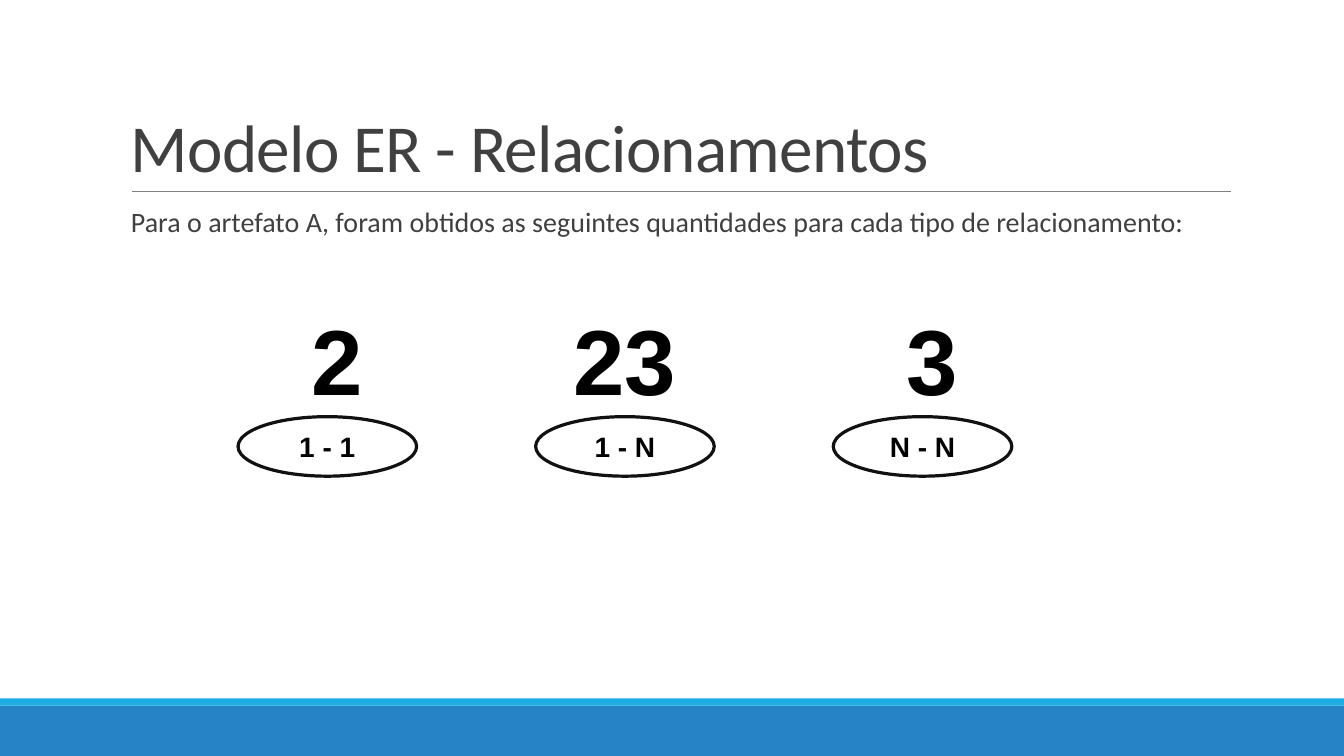
from typing import NamedTuple

from pptx import Presentation
from pptx import util as u
from pptx.dml.color import RGBColor
from pptx.enum import shapes, text
from pptx.oxml.ns import qn
from lxml import etree


class Relation(NamedTuple):
    label: str
    count: str
    count_left: float
    count_width: float


class Band(NamedTuple):
    top: float
    height: float
    color: str


RELATIONS = [
    Relation("1 - 1", "2", 7, 3),
    Relation("1 - N", "23", 13.5, 4.5),
    Relation("N - N", "3", 22, 3),
]
BANDS = [Band(17.78, 1.27, "2683C6"), Band(17.6, 0.18, "1CADE4")]
PAGE_WIDTH, PAGE_HEIGHT = 33.87, 19.05
OVAL_LEFT, OVAL_PITCH = 6, 7.5


def rgb(value: str) -> RGBColor:
    return RGBColor.from_string(value)


def write(shape, words: str, *, size: float, font: str = "Arial", color: str = "000000",
          bold: bool = False, align=text.PP_ALIGN.CENTER, anchor=text.MSO_ANCHOR.TOP,
          leading: float = 1, spacing: int = 0, inset: float = 0.25) -> None:
    frame = shape.text_frame
    frame.word_wrap = True
    frame.vertical_anchor = anchor
    frame.margin_left = frame.margin_right = u.Cm(inset)
    frame.margin_top = frame.margin_bottom = u.Cm(0.13)
    para = frame.paragraphs[0]
    para.alignment = align
    para.line_spacing = leading
    span = para.add_run()
    span.text = words
    span.font.name, span.font.size, span.font.bold = font, u.Pt(size), bold
    span.font.color.rgb = rgb(color)
    if spacing:
        span.font._element.set("spc", str(spacing))


def add_box(page, left: float, top: float, width: float, height: float):
    return page.shapes.add_textbox(u.Cm(left), u.Cm(top), u.Cm(width), u.Cm(height))


def add_solid(page, kind, left: float, top: float, width: float, height: float, fill: str):
    shape = page.shapes.add_shape(kind, u.Cm(left), u.Cm(top), u.Cm(width), u.Cm(height))
    shape.shadow.inherit = False
    shape.fill.solid()
    shape.fill.fore_color.rgb = rgb(fill)
    shape.line.fill.background()
    return shape


def add_rule(page, left: float, right: float, top: float) -> None:
    rule = page.shapes.add_connector(
        shapes.MSO_CONNECTOR.STRAIGHT, u.Cm(left), u.Cm(top), u.Cm(right), u.Cm(top))
    rule.line.color.rgb = rgb("808080")
    rule.line.width = u.Pt(0.5)
    etree.SubElement(rule._element.spPr, qn("a:effectLst"))


def add_relation(page, index: int, relation: Relation) -> None:
    count = add_box(page, relation.count_left, 7.5, relation.count_width, 2.85)
    write(count, relation.count, size=66, bold=True)
    oval = add_solid(page, shapes.MSO_SHAPE.OVAL, OVAL_LEFT + index * OVAL_PITCH, 10.5,
                     4.5, 1.5, "FFFFFF")
    oval.line.color.rgb = rgb("111111")
    oval.line.width = u.Pt(2.3)
    write(oval, relation.label, size=20, bold=True, anchor=text.MSO_ANCHOR.MIDDLE)


def main() -> None:
    deck = Presentation()
    deck.slide_width, deck.slide_height = u.Cm(PAGE_WIDTH), u.Cm(PAGE_HEIGHT)
    page = deck.slides.add_slide(deck.slide_layouts[6])

    # Footer bands and title rule
    for band in BANDS:
        add_solid(page, shapes.MSO_SHAPE.RECTANGLE, 0, band.top, PAGE_WIDTH,
                  band.height, band.color)
    add_rule(page, 3.32, 31.01, 4.82)

    # Title and introduction
    title = add_box(page, 3.05, 0.79, 27.94, 4.03)
    write(title, "Modelo ER - Relacionamentos", size=48, font="Calibri", color="404040",
          align=text.PP_ALIGN.LEFT, anchor=text.MSO_ANCHOR.BOTTOM, leading=0.85, spacing=-50)
    intro = add_box(page, 3.3, 5.13, 27.69, 1.37)
    write(intro, "Para o artefato A, foram obtidos as seguintes quantidades para cada tipo "
          "de relacionamento:", size=20, font="Calibri", color="404040",
          align=text.PP_ALIGN.LEFT, leading=0.9, inset=0)

    # Count above each relationship type
    for index, relation in enumerate(RELATIONS):
        add_relation(page, index, relation)

    deck.save("out.pptx")


if __name__ == "__main__":
    main()
